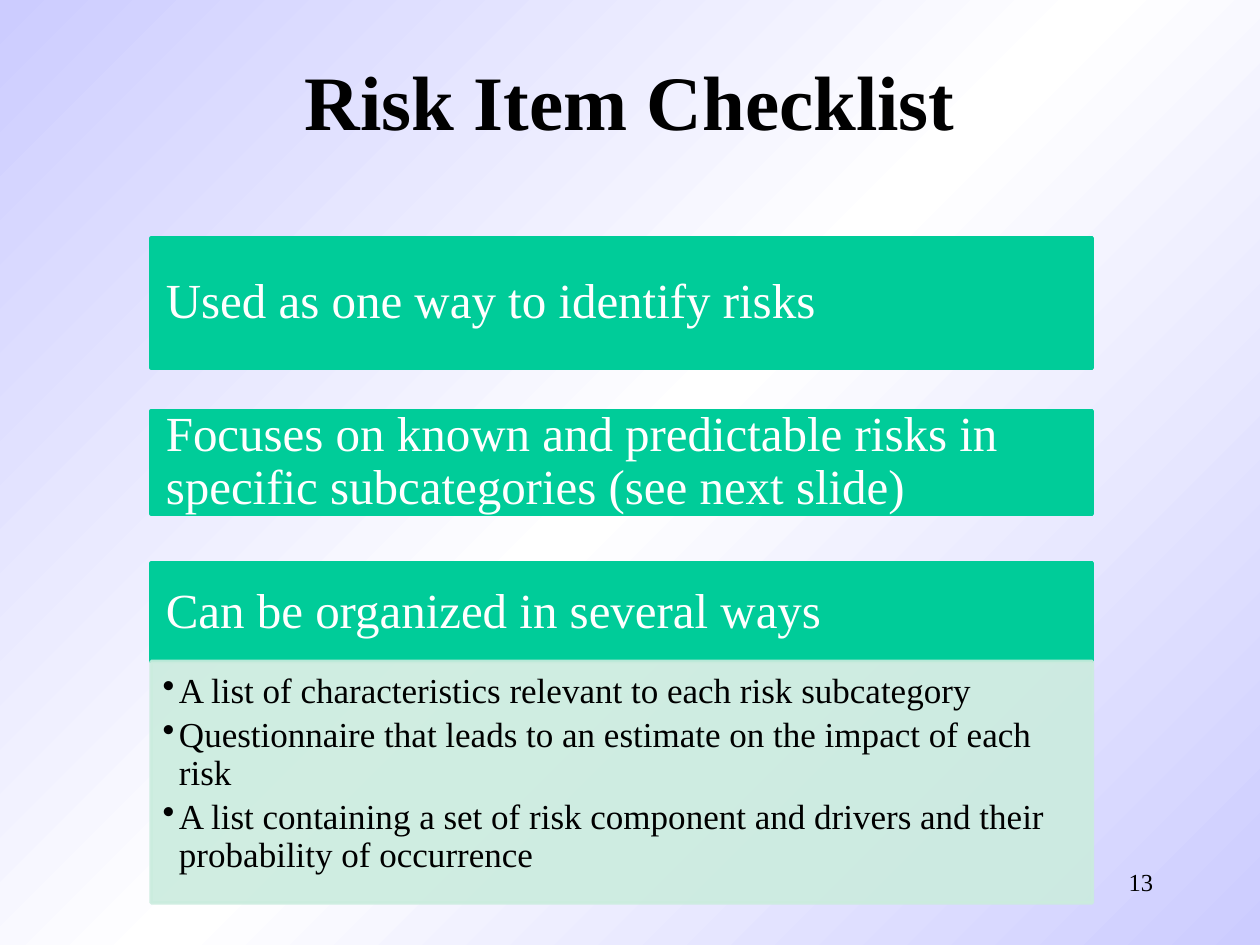
from copy import deepcopy

from pptx import Presentation
from pptx.dml.color import RGBColor
from pptx.enum.shapes import MSO_SHAPE as Shape
from pptx.enum.text import MSO_ANCHOR as Anchor, MSO_AUTO_SIZE as AutoSize, PP_ALIGN as Align
from pptx.oxml.ns import qn
from pptx.util import Pt
from lxml import etree

FONT = "Times New Roman"
BLACK = RGBColor(0, 0, 0)
WHITE = RGBColor(255, 255, 255)
LAVENDER = RGBColor(0xCC, 0xCC, 0xFF)
GREEN = RGBColor(0x00, 0xCC, 0x99)
PALE_GREEN = RGBColor(0xCB, 0xEC, 0xDE)

LEFT, WIDTH = 86.4, 537.84
HEADINGS = [  # text, top, height
    ("Used as one way to identify risks", 136.1, 74.2),
    ("Focuses on known and predictable risks in specific subcategories (see next slide)", 234.7, 59),
    ("Can be organized in several ways", 321.8, 56.2),
]
DETAILS = [
    "A list of characteristics relevant to each risk subcategory",
    "Questionnaire that leads to an estimate on the impact of each risk",
    "A list containing a set of risk component and drivers and their probability of occurrence",
]


def paint_background(slide):
    fill = slide.background.fill
    fill.gradient()
    fill.gradient_angle = 315
    first = fill.gradient_stops[0]._gs
    first.addnext(deepcopy(first))
    for stop, color, position in zip(fill.gradient_stops, (LAVENDER, WHITE, LAVENDER), (0, 0.5, 1)):
        stop.color.rgb = color
        stop.position = position


def format_text(text_frame, size, color, align, bold=False):
    for paragraph in text_frame.paragraphs:
        paragraph.alignment = align
        for run in paragraph.runs:
            run.font.name = FONT
            run.font.size = Pt(size)
            run.font.bold = bold
            run.font.color.rgb = color


def set_margins(text_frame, left, top, right, bottom):
    text_frame.margin_left, text_frame.margin_top = Pt(left), Pt(top)
    text_frame.margin_right, text_frame.margin_bottom = Pt(right), Pt(bottom)


def place_title(slide, text, left, top, width, height):
    title = slide.shapes.title
    title.left, title.top, title.width, title.height = Pt(left), Pt(top), Pt(width), Pt(height)
    text_frame = title.text_frame
    text_frame.text = text
    text_frame.auto_size = AutoSize.NONE
    text_frame.vertical_anchor = Anchor.MIDDLE
    format_text(text_frame, 44, BLACK, Align.CENTER, bold=True)


def add_panel(slide, color, left, top, width, height):
    panel = slide.shapes.add_shape(Shape.RECTANGLE, Pt(left), Pt(top), Pt(width), Pt(height))
    panel.shadow.inherit = False
    panel.fill.solid()
    panel.fill.fore_color.rgb = color
    panel.line.color.rgb = color
    panel.line.width = Pt(2)
    panel.text_frame.word_wrap = True
    return panel


def add_heading(slide, text, left, top, width, height):
    text_frame = add_panel(slide, GREEN, left, top, width, height).text_frame
    text_frame.text = text
    text_frame.vertical_anchor = Anchor.MIDDLE
    set_margins(text_frame, 8.4, 5, 8.4, 5)
    format_text(text_frame, 28, WHITE, Align.LEFT)
    text_frame.paragraphs[0].line_spacing = 0.9
    text_frame.paragraphs[0].space_after = Pt(12.2)


def add_details(slide, items, left, top, width, height):
    panel = add_panel(slide, PALE_GREEN, left, top, width, height)
    # Fill and line are 90 % opaque
    for color in panel._element.spPr.iter(qn("a:srgbClr")):
        etree.SubElement(color, qn("a:alpha"), val="90000")
    text_frame = panel.text_frame
    text_frame.text = "\n".join(items)
    text_frame.vertical_anchor = Anchor.TOP
    set_margins(text_frame, 6.5, 6.5, 8.6, 9.4)
    format_text(text_frame, 20, BLACK, Align.LEFT)
    for paragraph in text_frame.paragraphs:
        paragraph.level = 1
        paragraph.line_spacing = 0.9
        paragraph.space_after = Pt(3.7)
        properties = paragraph._p.get_or_add_pPr()
        properties.set("marL", str(Pt(9.4)))
        properties.set("indent", str(-Pt(9.4)))
        etree.SubElement(properties, qn("a:buChar"), char="•")


def add_slide_number(slide, text, left, top, width, height):
    text_frame = slide.shapes.add_textbox(Pt(left), Pt(top), Pt(width), Pt(height)).text_frame
    text_frame.word_wrap = True
    text_frame.text = text
    format_text(text_frame, 14, BLACK, Align.RIGHT)


def main():
    presentation = Presentation()
    presentation.slide_width, presentation.slide_height = Pt(720), Pt(540)
    slide = presentation.slides.add_slide(presentation.slide_layouts[5])
    paint_background(slide)
    add_slide_number(slide, "13", 516.2, 491.8, 149.8, 36)
    place_title(slide, "Risk Item Checklist", 54, 12.2, 612, 90)

    # Heading bars, with the details directly under the last one
    for text, top, height in HEADINGS:
        add_heading(slide, text, LEFT, top, WIDTH, height)
    add_details(slide, DETAILS, LEFT, top + height, WIDTH, 137.9)
    presentation.save("out.pptx")


if __name__ == "__main__":
    main()
